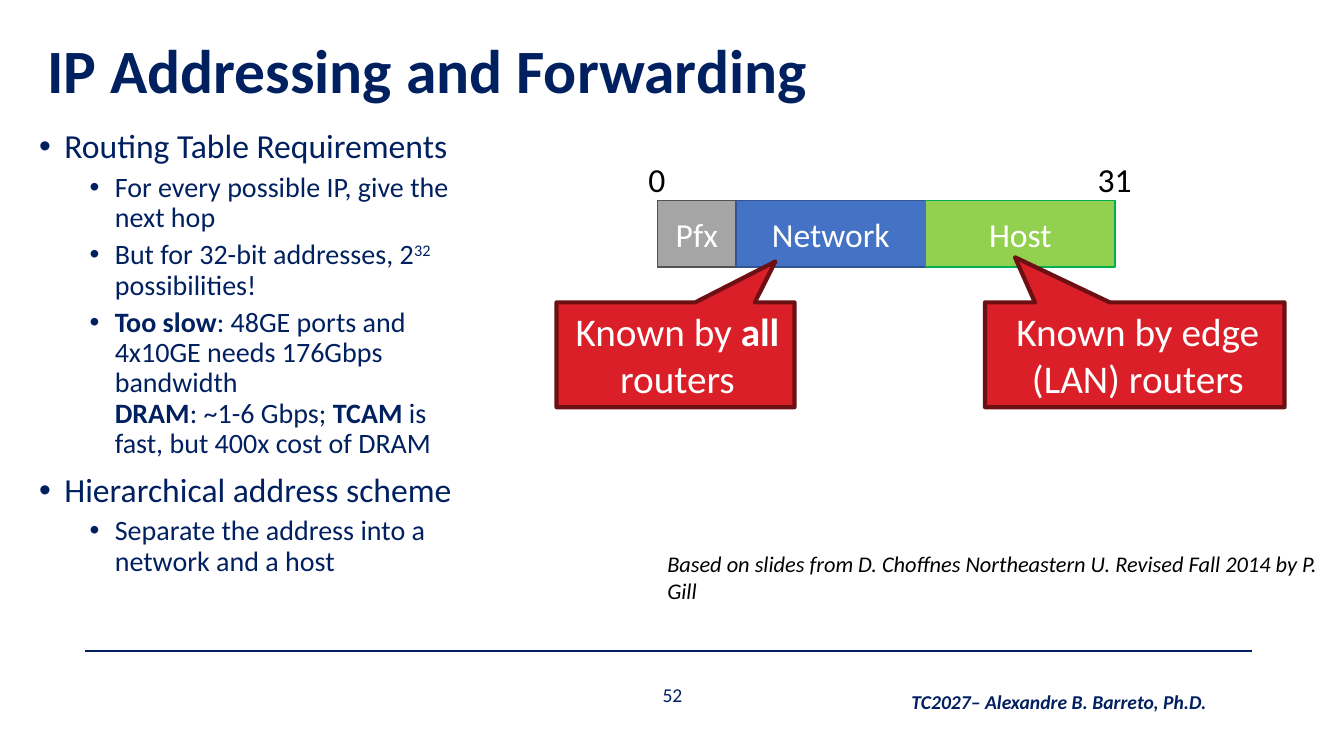
from dataclasses import dataclass

from lxml.etree import SubElement
from pptx import Presentation
from pptx.dml.color import RGBColor
from pptx.enum.shapes import MSO_CONNECTOR, MSO_SHAPE
from pptx.enum.text import MSO_ANCHOR, PP_ALIGN
from pptx.oxml.ns import qn
from pptx.util import Pt

PX = 9144


@dataclass(frozen=True)
class Theme:
    """Colours, type sizes and line widths of the slide."""

    font: str = "Calibri"
    navy: str = "002060"
    black: str = "000000"
    white: str = "FFFFFF"
    prefix: tuple = ("A5A5A5", "525252")
    network: tuple = ("4472C4", "325491")
    host: tuple = ("92D050", "00B050")
    callout: tuple = ("DA1F28", "6D1014")
    title_size: int = 44
    callout_size: int = 28
    heading_size: int = 24
    detail_size: int = 20
    credit_size: int = 16
    footer_size: int = 14


THEME = Theme()


def px(*lengths):
    """Turn pixel lengths into EMU."""
    return [length * PX for length in lengths]


def add_run(paragraph, text, size, color, bold=False, italic=False, raised=False):
    """Add one formatted run to a paragraph."""
    run = paragraph.add_run()
    run.text = text
    run.font.name = THEME.font
    run.font.size = Pt(size)
    run.font.color.rgb = RGBColor.from_string(color)
    run.font.bold = bold
    run.font.italic = italic
    if raised:
        run.font._element.set("baseline", "30000")


def write_line(shape, pieces, size, color, align=PP_ALIGN.CENTER,
               anchor=MSO_ANCHOR.MIDDLE, italic=False):
    """Fill a shape with one paragraph of (text, bold) pieces."""
    frame = shape.text_frame
    frame.word_wrap = True
    frame.vertical_anchor = anchor
    paragraph = frame.paragraphs[0]
    paragraph.alignment = align
    for text, bold in pieces:
        add_run(paragraph, text, size, color, bold, italic)
    return paragraph


def add_label(slide, box, pieces, size, color, **layout):
    """Add a text box holding one paragraph."""
    return write_line(slide.shapes.add_textbox(*px(*box)), pieces, size, color, **layout)


def add_panel(slide, kind, box, colors, width):
    """Add a filled and outlined preset shape."""
    shape = slide.shapes.add_shape(kind, *px(*box))
    fill, line = colors
    shape.shadow.inherit = False
    shape.fill.solid()
    shape.fill.fore_color.rgb = RGBColor.from_string(fill)
    shape.line.color.rgb = RGBColor.from_string(line)
    shape.line.width = Pt(width)
    return shape


def add_callout(slide, left, width, tip, pieces, shift):
    """Add a red callout with its centred text."""
    top, height = 300, 104
    box = (left, top, width, height)
    shape = add_panel(slide, MSO_SHAPE.RECTANGULAR_CALLOUT, box, THEME.callout, 3)
    for index, value in enumerate(tip):
        shape.adjustments[index] = value
    add_label(slide, (left + shift, top, width, height), pieces,
              THEME.callout_size, THEME.white, anchor=MSO_ANCHOR.TOP)


def add_bullet(paragraph, level):
    """Give a paragraph its bullet, indent and spacing."""
    properties = paragraph._p.get_or_add_pPr()
    properties.set("marL", str((25 + 50 * level) * PX))
    properties.set("indent", str(-25 * PX))
    SubElement(properties, qn("a:buFont"), typeface="Arial")
    SubElement(properties, qn("a:buChar"), char="•")
    paragraph.level = level
    paragraph.line_spacing = 0.9


def add_outline(slide, box, items):
    """Add the two-level bullet list."""
    frame = slide.shapes.add_textbox(*px(*box)).text_frame
    frame.word_wrap = True
    for index, (level, pieces) in enumerate(items):
        paragraph = frame.add_paragraph() if index else frame.paragraphs[0]
        add_bullet(paragraph, level)
        if index:
            paragraph.space_before = Pt(5 if level else 10)
        size = THEME.detail_size if level else THEME.heading_size
        for text, style in pieces:
            if style == "break":
                paragraph.add_line_break()
            else:
                add_run(paragraph, text, size, THEME.navy,
                        bold=style == "bold", raised=style == "raised")


def add_address(slide):
    """Draw the address fields and the bit numbers at their ends."""
    start = left = 652
    fields = (("Pfx", 78, THEME.prefix), ("Network", 188, THEME.network),
              ("Host", 188, THEME.host))
    for name, width, colors in fields:
        shape = add_panel(slide, MSO_SHAPE.RECTANGLE, (left, 199, width, 66), colors, 1)
        write_line(shape, [(name, False)], THEME.heading_size, THEME.white)
        left += width
    for bit, edge in (("0", start), ("31", left)):
        add_label(slide, (edge - 33, 145, 65, 66), [(bit, False)],
                  THEME.heading_size, THEME.black)


def add_footer(slide):
    """Draw the rule, page number and author line."""
    rule = slide.shapes.add_connector(MSO_CONNECTOR.STRAIGHT, *px(84, 646, 1242, 646))
    rule.line.color.rgb = RGBColor.from_string(THEME.navy)
    rule.line.width = Pt(1.5)
    SubElement(rule._element.spPr, qn("a:effectLst"))
    add_label(slide, (581, 679, 172, 20), [("52", False)], THEME.footer_size, THEME.navy)
    add_label(slide, (867, 680, 367, 34), [("TC2027– Alexandre B. Barreto, Ph.D.", True)],
              THEME.footer_size, THEME.navy, anchor=MSO_ANCHOR.TOP, italic=True)


def main():
    """Build and save the slide."""
    presentation = Presentation()
    presentation.slide_width, presentation.slide_height = px(1333, 750)
    slide = presentation.slides.add_slide(presentation.slide_layouts[6])
    add_footer(slide)
    title = add_label(slide, (37, 0, 1150, 145), [("IP Addressing and Forwarding", True)],
                      THEME.title_size, THEME.navy, align=PP_ALIGN.LEFT)
    title.line_spacing = 0.9
    add_outline(slide, (29, 124, 451, 497), [
        (0, [("Routing Table Requirements", "plain")]),
        (1, [("For every possible IP, give the next hop", "plain")]),
        (1, [("But for 32-bit addresses, 2", "plain"), ("32", "raised"),
             (" possibilities!", "plain")]),
        (1, [("Too slow", "bold"),
             (": 48GE ports and 4x10GE needs 176Gbps bandwidth", "plain"),
             ("", "break"), ("DRAM", "bold"), (": ~1-6 Gbps; ", "plain"),
             ("TCAM", "bold"), (" is fast, but 400x cost of DRAM", "plain")]),
        (0, [("Hierarchical address scheme", "plain")]),
        (1, [("Separate the address into a network and a host", "plain")]),
    ])
    add_address(slide)
    add_callout(slide, 552, 236, (0.42, -0.89),
                [("Known by ", False), ("all", True), (" routers", False)], 2)
    add_callout(slide, 977, 297, (-0.4, -0.93),
                [("Known by edge (LAN) routers", False)], 3)
    credit = "Based on slides from D. Choffnes Northeastern U. Revised Fall 2014 by P. Gill"
    add_label(slide, (652, 541, 667, 64), [(credit, False)], THEME.credit_size,
              THEME.black, align=PP_ALIGN.LEFT, anchor=MSO_ANCHOR.TOP, italic=True)
    presentation.save("out.pptx")


if __name__ == "__main__":
    main()
